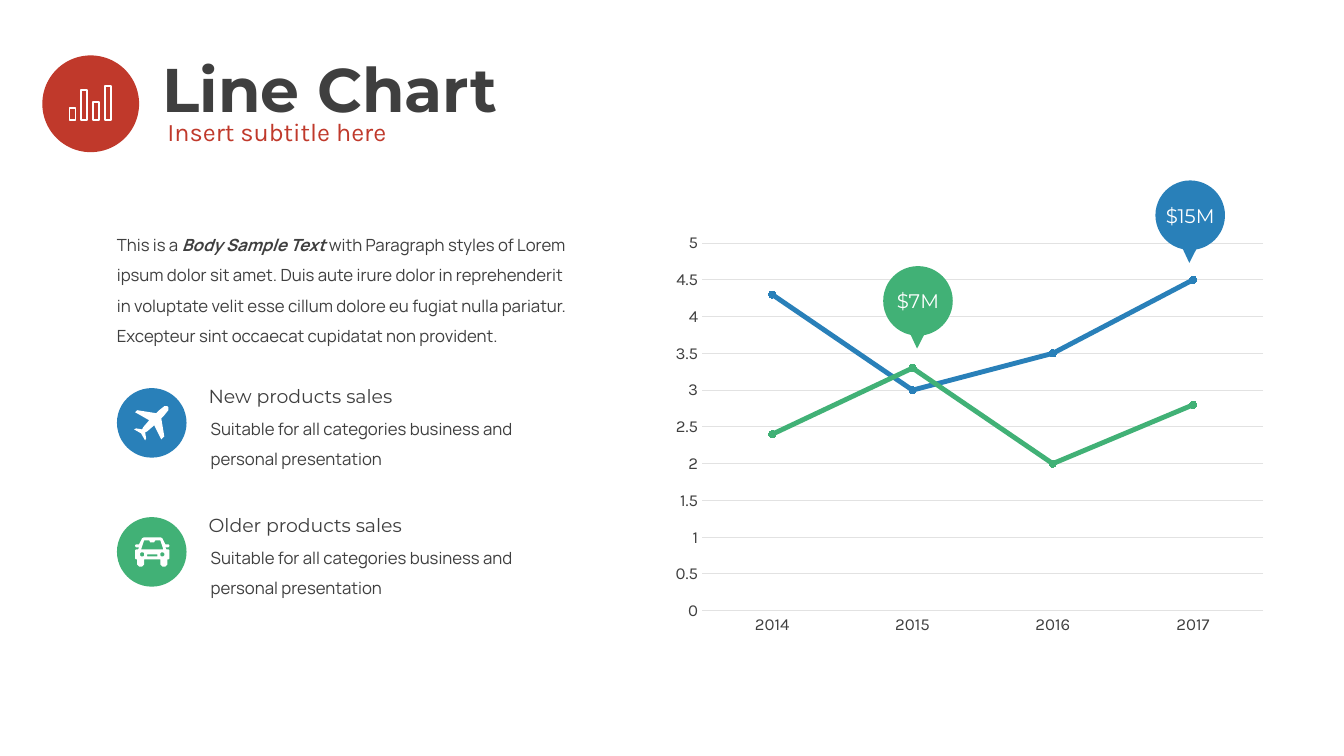
from pptx import Presentation
from pptx.chart.data import CategoryChartData
from pptx.dml.color import RGBColor
from pptx.enum.chart import XL_CHART_TYPE, XL_MARKER_STYLE, XL_TICK_MARK
from pptx.enum.shapes import MSO_SHAPE
from pptx.enum.text import MSO_ANCHOR, MSO_AUTO_SIZE, PP_ALIGN
from pptx.oxml.xmlchemy import OxmlElement
from pptx.util import Inches, Pt

DARK = RGBColor(0x3F, 0x3F, 0x3F)
RED = RGBColor(0xC0, 0x39, 0x2B)
BLUE = RGBColor(0x29, 0x80, 0xB9)
GREEN = RGBColor(0x41, 0xB1, 0x76)
GRID = RGBColor(0xE2, 0xE2, 0xE2)
WHITE = RGBColor(0xFF, 0xFF, 0xFF)

BADGE = 0.69
GLYPH_UNIT = Inches(0.01)

PLANE = [[(33, 1), (30, 1), (25, 5), (22, 8), (3, 5), (1, 7), (15, 15), (9, 22),
          (8, 24), (2, 23), (0, 24), (7, 28), (11, 35), (12, 33), (11, 27),
          (13, 26), (20, 20), (27, 34), (30, 31), (27, 13), (30, 10), (34, 5), (34, 2)]]


def mirror(points, width=34):
    return [(width - x, y) for x, y in reversed(points)]


CAR_LEFT = [(9, 0), (7, 1), (6, 3), (4, 7), (1, 7), (0, 8), (0, 9), (1, 10), (4, 10),
            (3, 12), (1, 12), (0, 13), (0, 21), (1, 22), (2, 22), (2, 27), (4, 29),
            (7, 29), (9, 27), (9, 22)]
WINDOW_LEFT = [(6, 12), (9, 3), (14, 3), (15, 5)]
LAMP = [(5, 16), (6, 15), (8, 15), (9, 16), (9, 18), (8, 19), (6, 19), (5, 18)]
GRILLE = [(12, 17), (22, 17), (22, 19), (12, 19)]
CAR = [CAR_LEFT + mirror(CAR_LEFT), WINDOW_LEFT + mirror(WINDOW_LEFT),
       LAMP, mirror(LAMP), GRILLE]


def set_font(font, name, size, color):
    font.name = name
    font.size = Pt(size)
    font.color.rgb = color


def paint(shape, color):
    shape.shadow.inherit = False
    shape.fill.solid()
    shape.fill.fore_color.rgb = color
    shape.line.fill.background()


def add_solid(slide, kind, left, top, size, color):
    shape = slide.shapes.add_shape(kind, Inches(left), Inches(top), Inches(size), Inches(size))
    paint(shape, color)
    return shape


def add_text(slide, left, top, width, height, text, name, size, spacing, inset=0):
    frame = slide.shapes.add_textbox(
        Inches(left), Inches(top), Inches(width), Inches(height)).text_frame
    frame.word_wrap = True
    frame.margin_left = frame.margin_right = Inches(inset)
    frame.margin_top = frame.margin_bottom = Inches(inset)
    paragraph = frame.paragraphs[0]
    paragraph.line_spacing = spacing
    set_font(paragraph.font, name, size, DARK)
    if text:
        paragraph.add_run().text = text
    return frame


def add_glyph(slide, left, top, contours):
    first, *others = contours
    builder = slide.shapes.build_freeform(*first[0], scale=GLYPH_UNIT)
    builder.add_line_segments(first[1:], close=True)
    for contour in others:
        builder.move_to(*contour[0])
        builder.add_line_segments(contour[1:], close=True)
    paint(builder.convert_to_shape(Inches(left), Inches(top)), WHITE)


def fill_placeholder(placeholder, left, top, width, height, text, name, size, color):
    placeholder.left, placeholder.top = Inches(left), Inches(top)
    placeholder.width, placeholder.height = Inches(width), Inches(height)
    frame = placeholder.text_frame
    frame.text = text
    frame.auto_size = MSO_AUTO_SIZE.NONE
    paragraph = frame.paragraphs[0]
    paragraph.alignment = PP_ALIGN.LEFT
    paragraph.line_spacing = 0.9
    set_font(paragraph.font, name, size, color)
    return frame


def add_header(slide, left, top):
    title, subtitle = slide.placeholders
    frame = fill_placeholder(title, left + 1.09, top - 0.15, 11, 1.03,
                             "Line Chart", "Montserrat", 44, DARK)
    frame.vertical_anchor = MSO_ANCHOR.MIDDLE
    frame.paragraphs[0].font.bold = True

    frame = fill_placeholder(subtitle, left + 1.14, top + 0.59, 11.03, 0.65,
                             "Insert subtitle here", "Karla", 18, RED)
    paragraph = frame.paragraphs[0]
    paragraph.space_before = Pt(10)
    properties = paragraph._p.get_or_add_pPr()
    properties.set("marL", "0")
    properties.set("indent", "0")
    properties.insert_element_before(OxmlElement("a:buNone"), "a:tabLst", "a:defRPr", "a:extLst")

    add_solid(slide, MSO_SHAPE.OVAL, left, top, 0.96, RED)
    baseline = top + 0.64
    for index, height in enumerate((0.12, 0.3, 0.18, 0.34)):
        bar = slide.shapes.add_shape(
            MSO_SHAPE.RECTANGLE, Inches(left + 0.27 + index * 0.116),
            Inches(baseline - height), Inches(0.06), Inches(height))
        bar.shadow.inherit = False
        bar.fill.background()
        bar.line.color.rgb = WHITE
        bar.line.width = Pt(1.25)


def add_introduction(slide, left, top):
    frame = add_text(slide, left, top, 4.57, 1.17, "", "Manrope", 12, 1.5)
    paragraph = frame.paragraphs[0]
    paragraph.add_run().text = "This is a "
    emphasis = paragraph.add_run()
    emphasis.text = "Body Sample Text "
    emphasis.font.bold = emphasis.font.italic = True
    paragraph.add_run().text = (
        "with Paragraph styles of Lorem ipsum dolor sit amet. Duis aute irure dolor in "
        "reprehenderit in voluptate velit esse cillum dolore eu fugiat nulla pariatur. "
        "Excepteur sint occaecat cupidatat non provident.")


def add_product(slide, left, top, heading, color, glyph, glyph_left, glyph_top):
    add_solid(slide, MSO_SHAPE.OVAL, left, top, BADGE, color)
    add_glyph(slide, left + glyph_left, top + glyph_top, glyph)
    add_text(slide, left + 0.93, top + 0.2, 3.57, 0.57,
             "Suitable for all categories business and personal presentation",
             "Manrope", 12, 1.5)
    frame = add_text(slide, left + 0.87, top - 0.05, 3.64, 0.29,
                     heading, "Montserrat", 13.5, 0.9, inset=0.04)
    frame.vertical_anchor = MSO_ANCHOR.MIDDLE


def add_sales_chart(slide, left, top, width, height):
    data = CategoryChartData()
    data.categories = ["2014", "2015", "2016", "2017"]
    data.add_series("Series 1", (4.3, 3, 3.5, 4.5))
    data.add_series("Series 2", (2.4, 3.3, 2, 2.8))
    chart = slide.shapes.add_chart(
        XL_CHART_TYPE.LINE_MARKERS, Inches(left), Inches(top),
        Inches(width), Inches(height), data).chart
    chart.has_legend = False
    chart.has_title = False
    set_font(chart.font, "Karla", 10, DARK)
    plot = chart.plots[0]
    plot.vary_by_categories = False

    for axis in (chart.category_axis, chart.value_axis):
        axis.major_tick_mark = axis.minor_tick_mark = XL_TICK_MARK.NONE
        set_font(axis.tick_labels.font, "Karla", 12, DARK)
    values = chart.value_axis
    values.minimum_scale, values.maximum_scale, values.major_unit = 0, 5, 0.5
    values.format.line.fill.background()
    for line in (chart.category_axis.format.line, values.major_gridlines.format.line):
        line.color.rgb = GRID
        line.width = Pt(0.75)

    for series, color in zip(plot.series, (BLUE, GREEN)):
        series.smooth = False
        series.format.line.color.rgb = color
        series.format.line.width = Pt(3.5)
        series.marker.style = XL_MARKER_STYLE.CIRCLE
        series.marker.size = 5
        series.marker.format.fill.solid()
        series.marker.format.fill.fore_color.rgb = color
        series.marker.format.line.color.rgb = color


def add_callout(slide, left, top, text, color):
    callout = add_solid(slide, MSO_SHAPE.OVAL_CALLOUT, left, top, BADGE, color)
    callout.adjustments[0], callout.adjustments[1] = -0.013, 0.685
    frame = callout.text_frame
    frame.word_wrap = False
    frame.vertical_anchor = MSO_ANCHOR.MIDDLE
    paragraph = frame.paragraphs[0]
    paragraph.text = text
    paragraph.alignment = PP_ALIGN.CENTER
    set_font(paragraph.font, "Montserrat", 14, WHITE)


def main():
    presentation = Presentation()
    presentation.slide_width, presentation.slide_height = Inches(13.33), Inches(7.5)
    slide = presentation.slides.add_slide(presentation.slide_layouts[1])
    add_header(slide, 0.42, 0.55)
    add_introduction(slide, 1.16, 2.23)
    add_product(slide, 1.16, 3.85, "New products sales", BLUE, PLANE, 0.17, 0.17)
    add_product(slide, 1.16, 5.13, "Older products sales", GREEN, CAR, 0.18, 0.2)
    add_sales_chart(slide, 6.58, 2.23, 6.07, 4.15)
    add_callout(slide, 11.46, 1.79, "$15M", BLUE)
    add_callout(slide, 8.76, 2.64, "$7M", GREEN)
    presentation.save("out.pptx")


if __name__ == "__main__":
    main()
